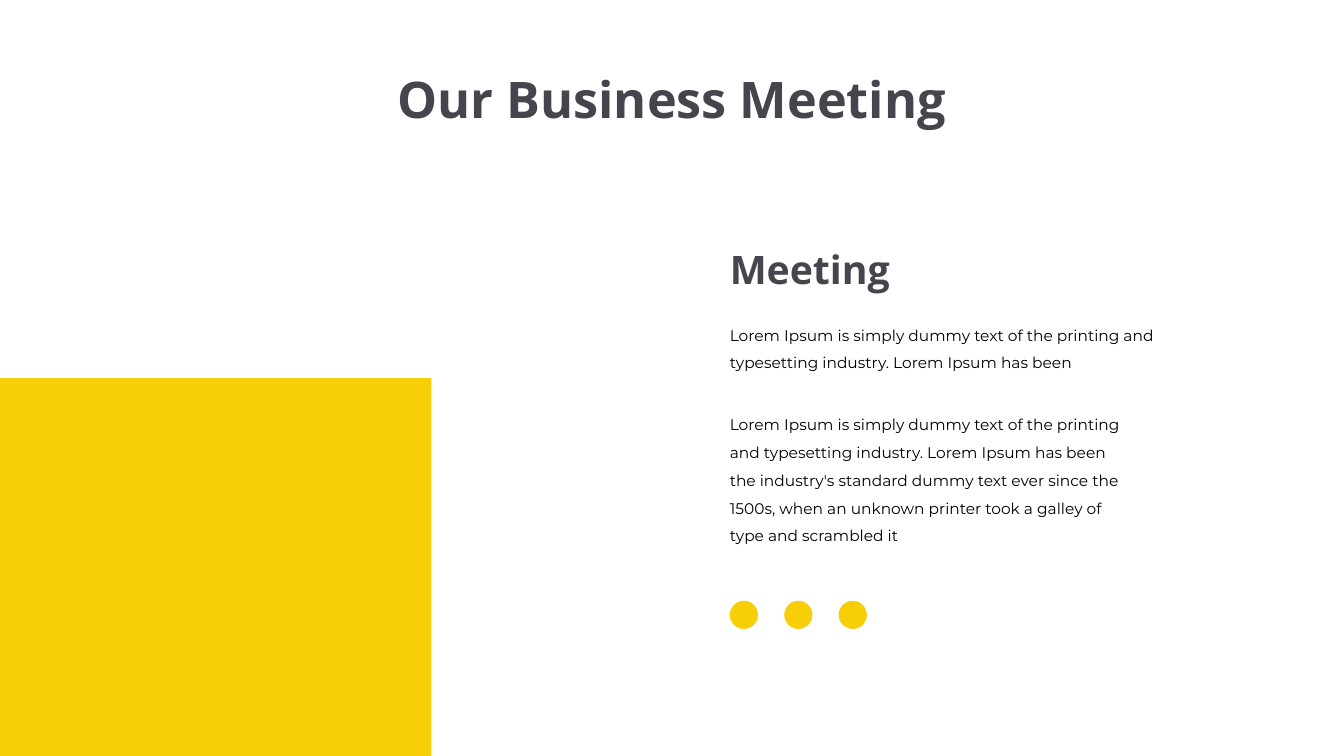
from dataclasses import dataclass

from lxml.etree import SubElement
from pptx import Presentation
from pptx.dml.color import RGBColor
from pptx.enum.shapes import MSO_SHAPE
from pptx.enum.text import MSO_ANCHOR, MSO_AUTO_SIZE, PP_ALIGN
from pptx.oxml.ns import qn
from pptx.util import Inches, Pt

COLOURS = {"accent": "F6CF08", "heading": "45454D", "body": "000000"}

# Grid: 40 columns by 30 rows
SLIDE_WIDTH, SLIDE_HEIGHT = Inches(13.333), Inches(7.5)
COLUMN, ROW = SLIDE_WIDTH / 40, SLIDE_HEIGHT / 30
TEXT_LEFT = 21.42

# Text styles
HEADING_FONT = {"name": "Open Sans", "bold": True}
BODY_FONT = {"name": "Montserrat", "bold": False, "size": Pt(11)}
FRAME_FORMAT = {"word_wrap": True, "vertical_anchor": MSO_ANCHOR.TOP,
                "auto_size": MSO_AUTO_SIZE.SHAPE_TO_FIT_TEXT}


@dataclass
class Area:
    column: float
    row: float
    columns: float
    rows: float

    def box(self) -> tuple[int, int, int, int]:
        return (round(self.column * COLUMN), round(self.row * ROW),
                round(self.columns * COLUMN), round(self.rows * ROW))


@dataclass
class TextBlock:
    placeholder: int
    area: Area
    wording: str
    font: dict
    colour: str
    line_spacing: float = 1.0
    alignment: PP_ALIGN = PP_ALIGN.LEFT


TEXT_BLOCKS = [
    TextBlock(0, Area(4.53, 2.52, 30.93, 2.84), "Our Business Meeting",
              HEADING_FONT | {"size": Pt(36)}, "heading",
              alignment=PP_ALIGN.CENTER),
    TextBlock(1, Area(TEXT_LEFT, 9.52, 11.34, 2.28), "Meeting",
              HEADING_FONT | {"size": Pt(28)}, "heading"),
    TextBlock(2, Area(TEXT_LEFT, 12.36, 13.83, 2.64),
              "Lorem Ipsum is simply dummy text of the printing and typesetting "
              "industry. Lorem Ipsum has been", BODY_FONT, "body", 1.5),
    TextBlock(4, Area(TEXT_LEFT, 15.92, 12.36, 5.96),
              "Lorem Ipsum is simply dummy text of the printing and typesetting "
              "industry. Lorem Ipsum has been the industry's standard dummy text "
              "ever since the 1500s, when an unknown printer took a galley of type "
              "and scrambled it", BODY_FONT, "body", 1.5),
]


def apply_format(target: object, values: dict) -> None:
    for attribute, value in values.items():
        setattr(target, attribute, value)


def add_accent(shapes, preset: MSO_SHAPE, area: Area) -> None:
    accent = shapes.add_shape(preset, *area.box())
    accent.shadow.inherit = False
    accent.fill.solid()
    accent.fill.fore_color.rgb = RGBColor.from_string(COLOURS["accent"])
    accent.line.fill.background()


def fill_placeholder(slide, block: TextBlock) -> None:
    holder = slide.placeholders[block.placeholder]
    left, top, width, height = block.area.box()
    apply_format(holder, {"left": left, "top": top, "width": width, "height": height})
    frame = holder.text_frame
    frame.text = block.wording
    apply_format(frame, FRAME_FORMAT)
    paragraph = frame.paragraphs[0]
    apply_format(paragraph, {"alignment": block.alignment, "space_before": Pt(0),
                             "line_spacing": block.line_spacing})
    # Plain paragraph without bullet or indent
    properties = paragraph._p.get_or_add_pPr()
    properties.set("marL", "0")
    properties.set("indent", "0")
    SubElement(properties, qn("a:buNone"))
    font = paragraph.runs[0].font
    apply_format(font, block.font)
    font.color.rgb = RGBColor.from_string(COLOURS[block.colour])


def main() -> None:
    presentation = Presentation()
    apply_format(presentation, {"slide_width": SLIDE_WIDTH, "slide_height": SLIDE_HEIGHT})
    slide = presentation.slides.add_slide(presentation.slide_layouts.get_by_name("Comparison"))

    # Yellow block in the lower left corner
    add_accent(slide.shapes, MSO_SHAPE.RECTANGLE, Area(0, 15, 12.84, 15))

    # Title, heading and paragraphs
    for block in TEXT_BLOCKS:
        fill_placeholder(slide, block)
    unused = slide.placeholders[3].element
    unused.getparent().remove(unused)

    # Row of dots
    dots = slide.shapes.add_group_shape()
    for index in range(3):
        add_accent(dots.shapes, MSO_SHAPE.OVAL,
                   Area(21.72 + index * 1.62, 23.84, 0.84, 1.12))

    presentation.save("out.pptx")


if __name__ == "__main__":
    main()
